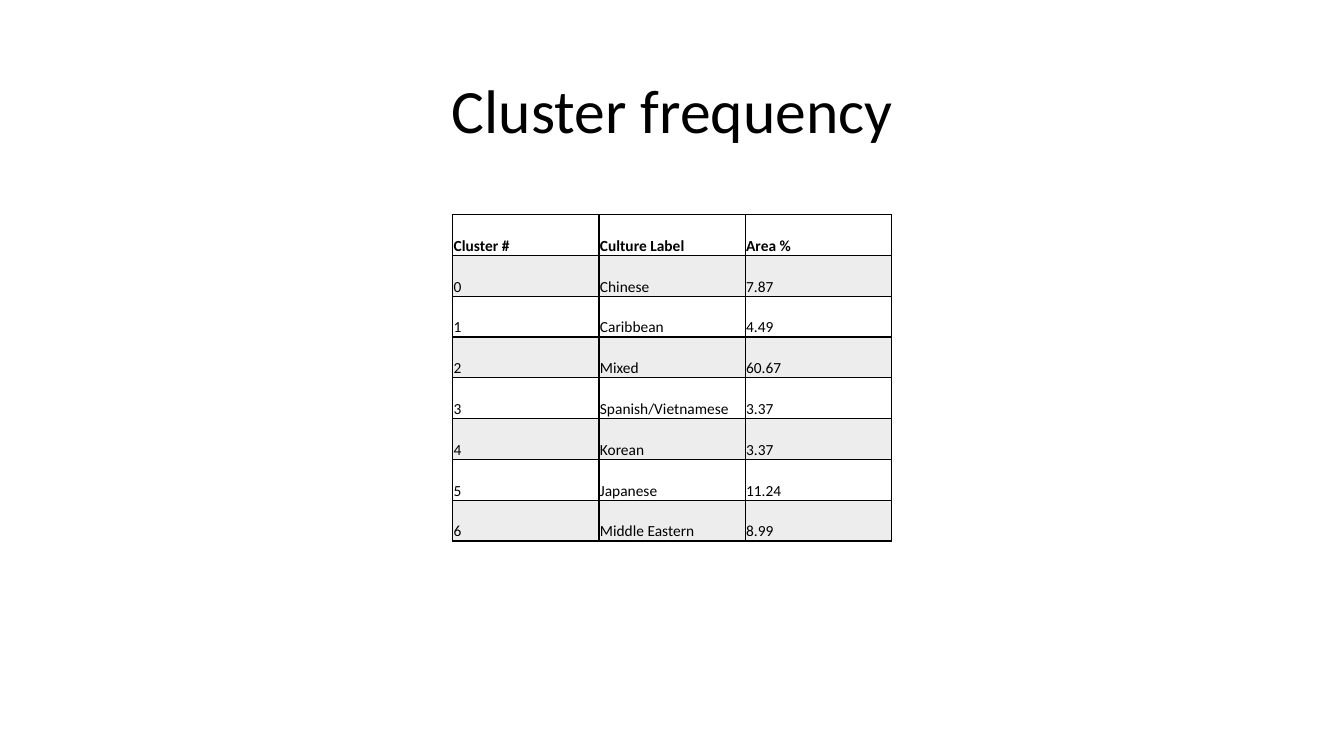
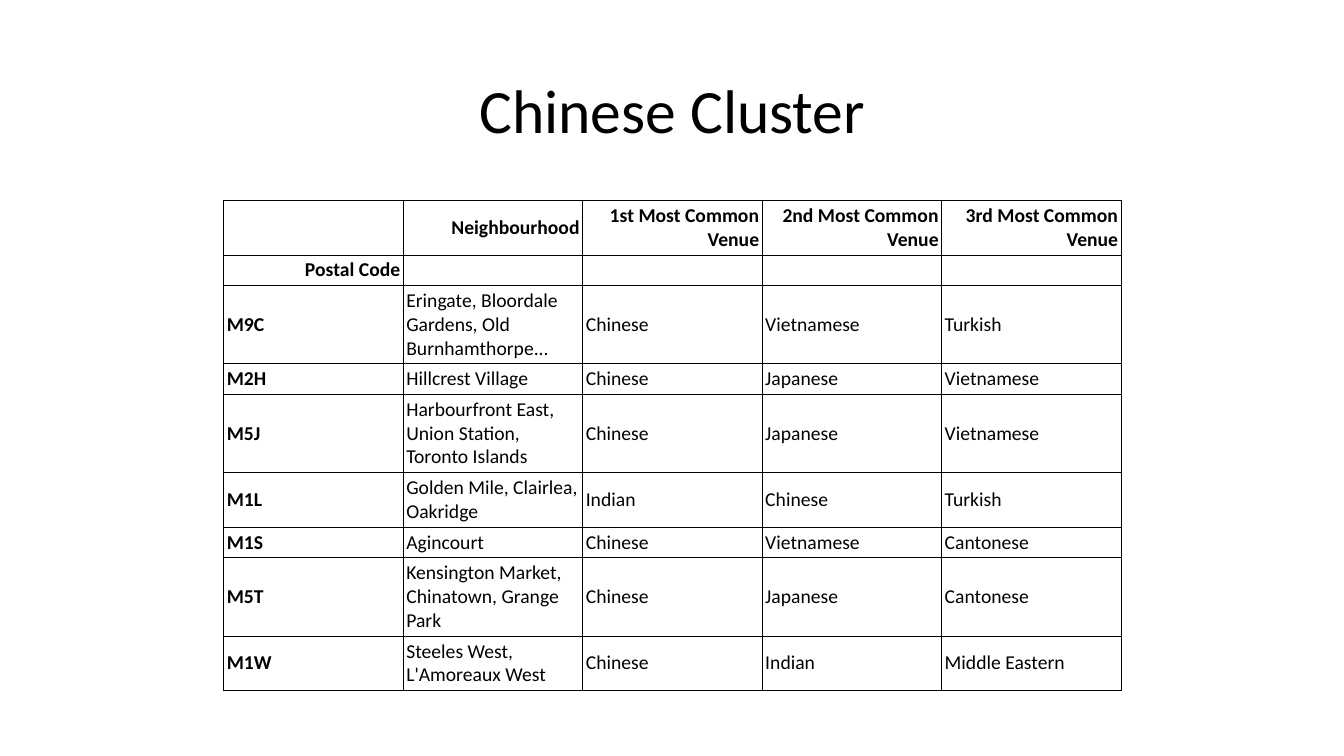
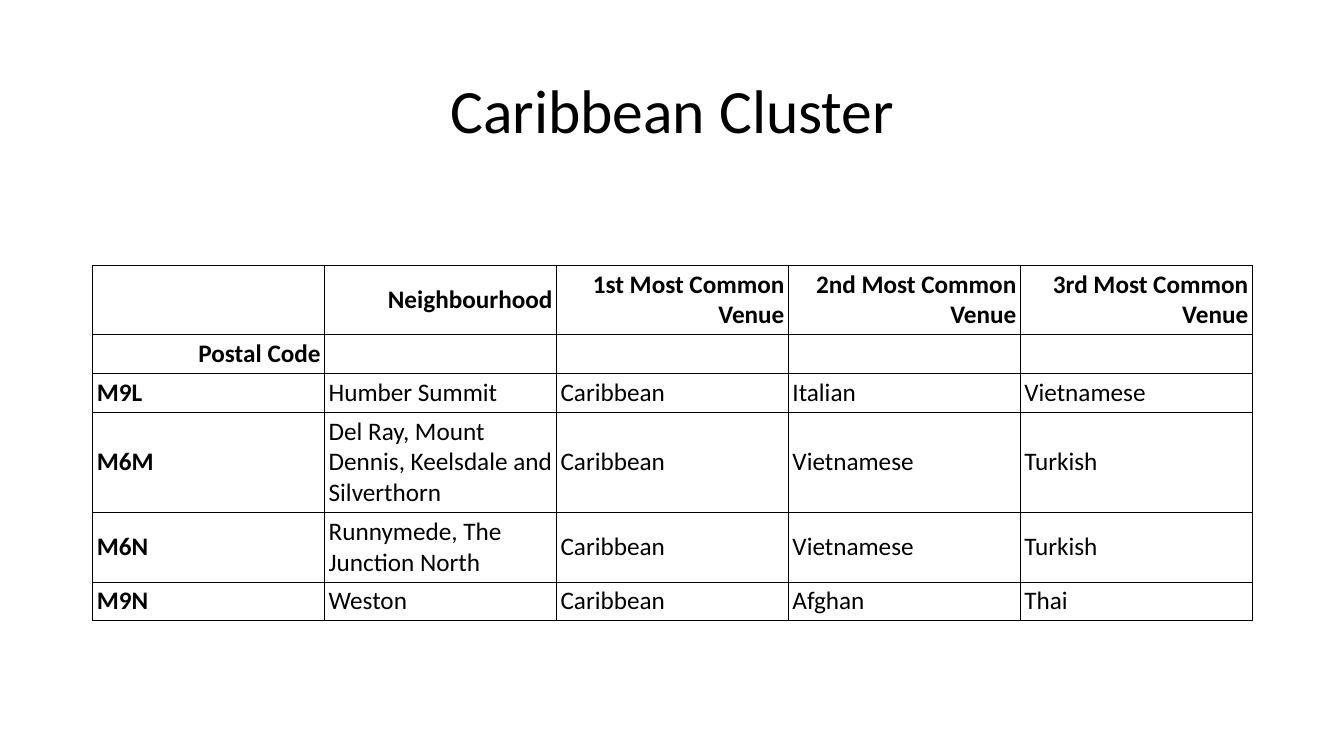
from dataclasses import dataclass

from lxml import etree
from pptx import Presentation
from pptx.dml.color import RGBColor
from pptx.enum.text import MSO_ANCHOR, PP_ALIGN
from pptx.oxml.ns import qn
from pptx.util import Inches, Pt

MID, LOW = MSO_ANCHOR.MIDDLE, MSO_ANCHOR.BOTTOM
LEFT, MID_TEXT, RIGHT = PP_ALIGN.LEFT, PP_ALIGN.CENTER, PP_ALIGN.RIGHT


@dataclass(frozen=True)
class Theme:
    font: str = "Calibri"
    ink: str = "000000"
    paper: str = "FFFFFF"
    band: str = "A5A5A5"
    band_alpha: int = 20
    title: int = 44


@dataclass(frozen=True)
class Style:
    size: int
    line: float      # height of one text line, inches
    pad: float       # height added to each row, inches
    inset: float
    base: float      # bottom inset, inches
    border: float    # points
    anchor: MSO_ANCHOR
    heads: int       # number of header rows
    align: PP_ALIGN  # alignment of header rows
    keyed: bool      # bold first column
    banded: bool


@dataclass(frozen=True)
class Page:
    title: str
    left: float
    top: float
    width: float
    style: Style
    rows: list[tuple[str, ...]]
    lines: tuple[int, ...]  # text lines in each row


THEME = Theme()

# Table styles
COUNT = Style(11, 3.24 / 8, 0, 0.01, 0, 1, LOW, 1, LEFT, False, True)
SMALL = Style(14, 0.24, 0.06, 0.03, 0.03, 0.75, MID, 2, RIGHT, True, False)
LARGE = Style(18, 0.305, 0.08, 0.04, 0.04, 0.75, MID, 2, RIGHT, True, False)

# Content
VENUES = [
    ("", "Neighbourhood", "1st Most Common Venue", "2nd Most Common Venue", "3rd Most Common Venue"),
    ("Postal Code", "", "", "", ""),
]
PAGES = [
    Page("Cluster frequency", 4.49, 2.13, 4.35, COUNT, [
        ("Cluster #", "Culture Label", "Area %"),
        ("0", "Chinese", "7.87"),
        ("1", "Caribbean", "4.49"),
        ("2", "Mixed", "60.67"),
        ("3", "Spanish/Vietnamese", "3.37"),
        ("4", "Korean", "3.37"),
        ("5", "Japanese", "11.24"),
        ("6", "Middle Eastern", "8.99"),
    ], (1,) * 8),
    Page("Chinese Cluster", 2.22, 1.99, 8.9, SMALL, VENUES + [
        ("M9C", "Eringate, Bloordale Gardens, Old Burnhamthorpe...", "Chinese", "Vietnamese", "Turkish"),
        ("M2H", "Hillcrest Village", "Chinese", "Japanese", "Vietnamese"),
        ("M5J", "Harbourfront East, Union Station, Toronto Islands", "Chinese", "Japanese", "Vietnamese"),
        ("M1L", "Golden Mile, Clairlea, Oakridge", "Indian", "Chinese", "Turkish"),
        ("M1S", "Agincourt", "Chinese", "Vietnamese", "Cantonese"),
        ("M5T", "Kensington Market, Chinatown, Grange Park", "Chinese", "Japanese", "Cantonese"),
        ("M1W", "Steeles West, L'Amoreaux West", "Chinese", "Indian", "Middle Eastern"),
    ], (2, 1, 3, 1, 3, 2, 1, 3, 2)),
    Page("Caribbean Cluster", 0.92, 2.63, 11.5, LARGE, VENUES + [
        ("M9L", "Humber Summit", "Caribbean", "Italian", "Vietnamese"),
        ("M6M", "Del Ray, Mount Dennis, Keelsdale and Silverthorn", "Caribbean", "Vietnamese", "Turkish"),
        ("M6N", "Runnymede, The Junction North", "Caribbean", "Vietnamese", "Turkish"),
        ("M9N", "Weston", "Caribbean", "Afghan", "Thai"),
    ], (2, 1, 1, 3, 2, 1)),
]


def add_run(para, text: str, size: int, bold: bool = False) -> None:
    run = para.add_run()
    run.text = text
    font = run.font
    font.name, font.size, font.bold = THEME.font, Pt(size), bold
    font.color.rgb = RGBColor.from_string(THEME.ink)


def add_title(slide, text: str) -> None:
    box = slide.shapes.add_textbox(Inches(0.92), Inches(0.4), Inches(11.5), Inches(1.45))
    frame = box.text_frame
    frame.word_wrap = True
    frame.vertical_anchor = MID
    para = frame.paragraphs[0]
    para.alignment, para.line_spacing = MID_TEXT, 0.9
    add_run(para, text, THEME.title)


def add_edges(cell, width: float) -> None:
    props = cell._tc.get_or_add_tcPr()
    for side in ("lnL", "lnR", "lnT", "lnB"):
        edge = etree.SubElement(props, qn(f"a:{side}"), w=str(Pt(width)))
        fill = etree.SubElement(edge, qn("a:solidFill"))
        etree.SubElement(fill, qn("a:srgbClr"), val=THEME.ink)


def fill_cell(cell, style: Style, row: int) -> None:
    if style.banded and row % 2 == 0:
        cell.fill.background()
        return
    cell.fill.solid()
    tone = THEME.band if style.banded else THEME.paper
    cell.fill.fore_color.rgb = RGBColor.from_string(tone)
    if style.banded:
        mark = cell._tc.tcPr.find(f"{qn('a:solidFill')}/{qn('a:srgbClr')}")
        etree.SubElement(mark, qn("a:alpha"), val=str(THEME.band_alpha * 1000))


def set_cell(cell, text: str, style: Style, row: int, col: int) -> None:
    cell.vertical_anchor = style.anchor
    cell.margin_left = cell.margin_right = cell.margin_top = Inches(style.inset)
    cell.margin_bottom = Inches(style.base)
    add_edges(cell, style.border)
    fill_cell(cell, style, row)
    head = row < style.heads
    para = cell.text_frame.paragraphs[0]
    para.alignment = style.align if head else LEFT
    if text:
        add_run(para, text, style.size, head or (style.keyed and col == 0))
    else:
        # Keeps empty cells from stretching their row
        etree.SubElement(para._p, qn("a:endParaRPr"), sz=str(style.size * 100))


def add_grid(slide, page: Page) -> None:
    style, cols = page.style, len(page.rows[0])
    tall = [style.line * count + style.pad for count in page.lines]
    frame = slide.shapes.add_table(
        len(page.rows), cols, Inches(page.left), Inches(page.top),
        Inches(page.width), Inches(sum(tall)))
    table = frame.table
    table.first_row = table.horz_banding = False
    for col in table.columns:
        col.width = Inches(page.width / cols)
    for row, (texts, height) in enumerate(zip(page.rows, tall)):
        table.rows[row].height = Inches(height)
        for col, text in enumerate(texts):
            set_cell(table.cell(row, col), text, style, row, col)


def main() -> None:
    deck = Presentation()
    deck.slide_width, deck.slide_height = Inches(13.33), Inches(7.5)
    blank = deck.slide_layouts[6]
    for page in PAGES:
        slide = deck.slides.add_slide(blank)
        add_title(slide, page.title)
        add_grid(slide, page)
    deck.save("out.pptx")


if __name__ == "__main__":
    main()
